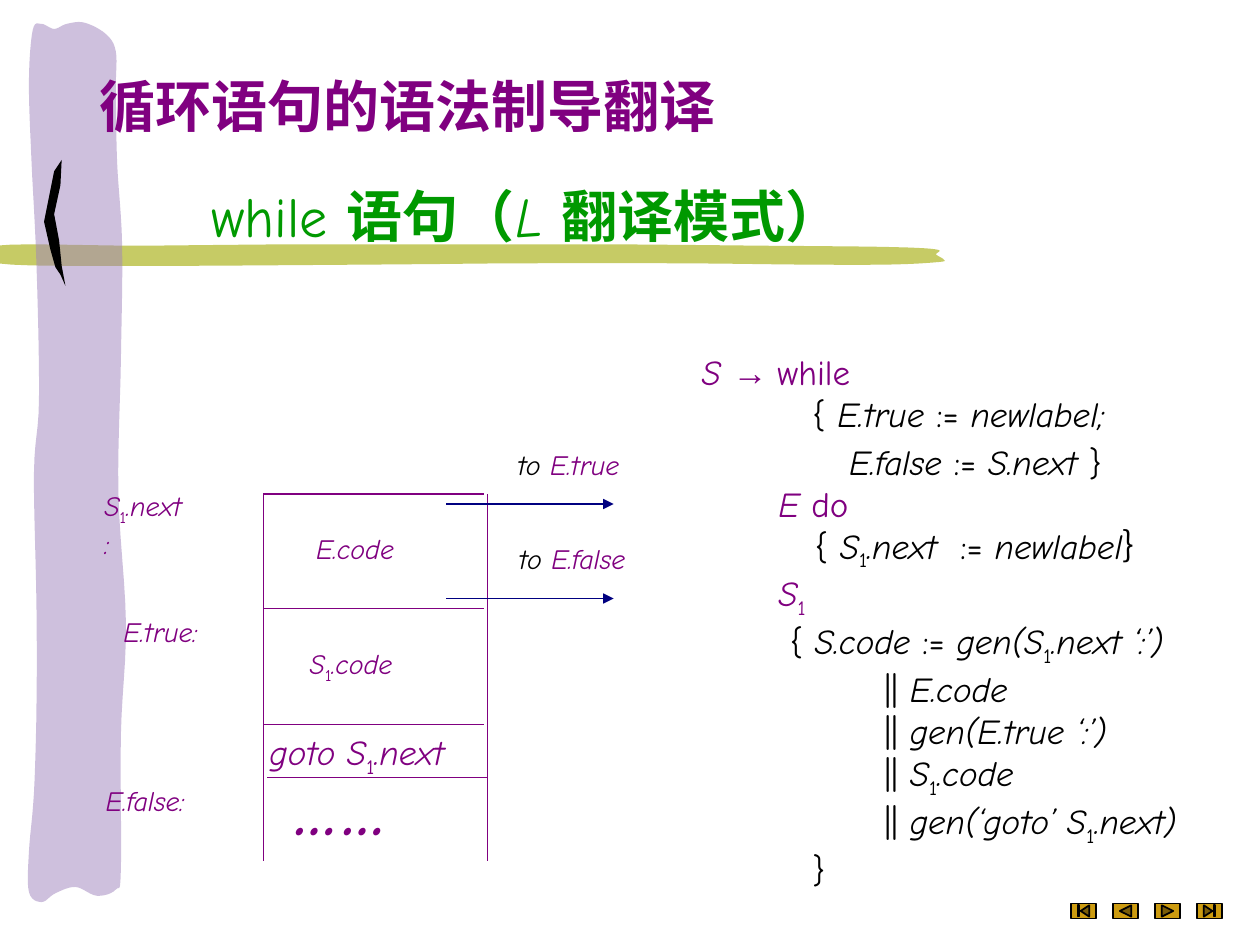
"""Build a slide on the syntax-directed translation of while loops."""
from lxml import etree
from pptx import Presentation
from pptx.dml.color import RGBColor
from pptx.enum.shapes import MSO_CONNECTOR, MSO_SHAPE
from pptx.enum.text import MSO_AUTO_SIZE
from pptx.oxml.ns import qn
from pptx.util import Inches, Pt

STRAIGHT = MSO_CONNECTOR.STRAIGHT
FIT_TEXT = MSO_AUTO_SIZE.SHAPE_TO_FIT_TEXT
BUTTONS = [
    MSO_SHAPE.ACTION_BUTTON_BEGINNING,
    MSO_SHAPE.ACTION_BUTTON_BACK_OR_PREVIOUS,
    MSO_SHAPE.ACTION_BUTTON_FORWARD_OR_NEXT,
    MSO_SHAPE.ACTION_BUTTON_END,
]

PURPLE = RGBColor(0x80, 0x00, 0x80)
GREEN = RGBColor(0x00, 0x99, 0x00)
NAVY = RGBColor(0x00, 0x00, 0x80)
BLACK = RGBColor(0x00, 0x00, 0x00)
OLIVE = RGBColor(0xC6, 0xCB, 0x65)
LILAC = RGBColor(0x9F, 0x83, 0xBD)
GOLD = RGBColor(0xCC, 0x9B, 0x10)

LATIN_FONT = "Comic Neue"
CHINESE_FONT = "Noto Sans CJK SC"
PLAIN = {"italic": False}
ITALIC = {"italic": True}
BOLD = {"bold": True, "name": CHINESE_FONT}
BOLD_ITALIC = {"bold": True, "italic": True}
ARROW = {"name": "Arial"}
SUBSCRIPT = {"baseline": "-25000"}


def add_text(box, size, colour, lines, wrap=True):
    shape = slide.shapes.add_textbox(*map(Inches, box))
    frame = shape.text_frame
    frame.word_wrap = wrap
    frame.auto_size = FIT_TEXT
    for number, (indent, space_after, line_colour, runs) in enumerate(lines):
        paragraph = frame.add_paragraph() if number else frame.paragraphs[0]
        paragraph.space_after = Pt(space_after)
        properties = paragraph._p.get_or_add_pPr()
        properties.set("marL", str(Inches(indent)))
        properties.set("indent", "0")
        for text, style, *run_colour in runs:
            run = paragraph.add_run()
            run.text = text
            values = {"name": LATIN_FONT, "size": Pt(size), **style}
            baseline = values.pop("baseline", None)
            for name, value in values.items():
                setattr(run.font, name, value)
            run.font.color.rgb = run_colour[0] if run_colour else line_colour or colour
            run_properties = run._r.get_or_add_rPr()
            if baseline:
                run_properties.set("baseline", baseline)
            if values["name"] == CHINESE_FONT:
                etree.SubElement(run_properties, qn("a:ea")).set("typeface", CHINESE_FONT)


def add_outline(points, colour, steps):
    outline = []
    count = len(points)
    for index in range(count):
        before, start, end, after = (points[(index + k) % count] for k in (-1, 0, 1, 2))
        for step in range(steps):
            t = step / steps
            outline.append([
                Inches(b + ((c - a) * t + (2 * a - 5 * b + 4 * c - d) * t**2
                            + (3 * b - a - 3 * c + d) * t**3) / 2)
                for a, b, c, d in zip(before, start, end, after)
            ])
    builder = slide.shapes.build_freeform(*outline[0], scale=1.0)
    builder.add_line_segments(outline[1:], close=True)
    shape = builder.convert_to_shape()
    shape.shadow.inherit = False
    shape.fill.solid()
    shape.fill.fore_color.rgb = colour
    shape.line.fill.background()
    return shape


presentation = Presentation()
presentation.slide_width = Inches(10)
presentation.slide_height = Inches(7.5)
slide = presentation.slides.add_slide(presentation.slide_layouts[6])

add_outline([
    (6.01, 1.95), (7.02, 1.96), (7.43, 1.98), (7.43, 2.02), (7.49, 2.06), (7.45, 2.08),
    (7.06, 2.1), (6.35, 2.1), (5.41, 2.09), (4.14, 2.09), (2.98, 2.1), (1.11, 2.11),
    (-0.02, 2.09), (-0.03, 1.95), (1.11, 1.95), (2.32, 1.94), (3.91, 1.94), (4.89, 1.94),
], OLIVE, 6)
brush = add_outline([
    (0.29, 5.61), (0.29, 4.81), (0.27, 3.75), (0.31, 3.17), (0.29, 2.1), (0.25, 1.27),
    (0.23, 0.65), (0.26, 0.24), (0.33, 0.19), (0.43, 0.23), (0.53, 0.19), (0.67, 0.18),
    (0.84, 0.27), (0.92, 0.41), (0.92, 0.71), (0.93, 1.29), (0.97, 1.95), (0.96, 2.86),
    (0.94, 3.91), (1, 4.95), (0.96, 5.83), (0.96, 6.9), (0.92, 7.06), (0.77, 7.11),
    (0.6, 7.04), (0.44, 7.09), (0.33, 7.16), (0.23, 7.08), (0.23, 6.76), (0.27, 6.29),
], LILAC, 6)
brush_colour = brush._element.spPr.find(qn("a:solidFill"))[0]
etree.SubElement(brush_colour, qn("a:alpha")).set("val", "50000")
add_outline([
    (0.49, 1.27), (0.48, 1.47), (0.43, 1.7), (0.47, 1.91), (0.49, 2.11), (0.52, 2.27),
    (0.48, 2.18), (0.44, 2.12), (0.4, 1.98), (0.35, 1.76), (0.39, 1.56), (0.43, 1.36),
], BLACK, 1)

add_text((0.69, 0.52, 8.98, 0.64), 32, PURPLE,
         [(0, 0, None, [("循环语句的语法制导翻译", BOLD)])])
add_text((1.58, 1.39, 7.1, 0.64), 32, GREEN, [(0, 0, None, [
    ("while ", PLAIN), ("语句（", BOLD), ("L ", ITALIC), ("翻译模式）", BOLD)])])

ONE = ("1", SUBSCRIPT)
labels = [
    ((2.41, 4.17, 0.82, 0.37), 16, [("E.code", ITALIC)]),
    ((2.36, 5.08, 0.86, 0.41), 16, [("S", ITALIC), ONE, (".code", ITALIC)]),
    ((0.73, 3.83, 0.92, 0.41), 16, [("S", ITALIC), ONE, (".next :", ITALIC)]),
    ((0.88, 4.83, 0.79, 0.37), 16, [("E.true:", ITALIC)]),
    ((0.74, 6.17, 0.83, 0.37), 16, [("E.false:", ITALIC)]),
    ((2.04, 5.75, 1.95, 0.48), 20, [("goto S", ITALIC), ONE, (".next", ITALIC)]),
    ((4.01, 3.5, 1.01, 0.37), 16, [("to ", ITALIC, BLACK), ("E.true", ITALIC)]),
    ((4.02, 4.25, 1.06, 0.37), 16, [("to ", ITALIC, BLACK), ("E.false", ITALIC)]),
    ((2.24, 6.08, 0.96, 0.7), 36, [("……", BOLD_ITALIC)]),
]
for box, size, runs in labels:
    add_text(box, size, PURPLE, [(0, 0, None, runs)], wrap=size == 20)

LEFT, RIGHT, TOP, BOTTOM = 2.09, 3.87, 3.92, 6.83
frame_lines = [(x, TOP, x, BOTTOM, PURPLE) for x in (LEFT, RIGHT)]
frame_lines += [(LEFT, y, 3.84, y, PURPLE) for y in (TOP, 4.83, 5.75)]
frame_lines.append((2.12, 6.17, RIGHT, 6.17, PURPLE))
jump_arrows = [(3.54, y, 4.87, y, NAVY) for y in (4, 4.75)]
for *ends, colour in frame_lines + jump_arrows:
    connector = slide.shapes.add_connector(STRAIGHT, *map(Inches, ends))
    connector.line.color.rgb = colour
    connector.line.width = Pt(0.75)
    if colour == NAVY:
        etree.SubElement(connector.line._get_or_add_ln(), qn("a:tailEnd")).set("type", "triangle")
    etree.SubElement(connector._element.spPr, qn("a:effectLst"))

add_text((5.47, 2.73, 4.37, 4.47), 20, BLACK, [
    (0, 0, PURPLE, [("S ", ITALIC), ("→ ", ARROW), ("while", PLAIN)]),
    (0.88, 3.4, None, [("{ ", PLAIN), ("E.true ", ITALIC), (":= ", PLAIN), ("newlabel;", ITALIC)]),
    (1.17, 0, None, [("E.false ", ITALIC), (":=", PLAIN), (" S.next", ITALIC), (" }", PLAIN)]),
    (0.61, 0, PURPLE, [("E", ITALIC), (" do", PLAIN)]),
    (0.9, 0, None, [("{ ", PLAIN), ("S", ITALIC), ONE, (".next  ", ITALIC), (":=", PLAIN),
                    (" newlabel", ITALIC), ("｝", PLAIN)]),
    (0.61, 0, PURPLE, [("S", ITALIC), ONE]),
    (0.7, 0, None, [("{ ", PLAIN), ("S.code ", ITALIC), (":=", PLAIN), (" gen(S", ITALIC), ONE,
                    (".next ‘:’)", ITALIC)]),
    (1.45, 0, None, [("||", PLAIN), (" E.code", ITALIC)]),
    (1.45, 0, None, [("||", PLAIN), (" gen(E.true ‘:’)", ITALIC)]),
    (1.45, 0, None, [("|| ", PLAIN), ("S", ITALIC), ONE, (".code", ITALIC)]),
    (1.45, 0, None, [("||", PLAIN), (" gen(‘goto’ S", ITALIC), ONE, (".next)", ITALIC)]),
    (0.88, 0, None, [("}", PLAIN)]),
])

for index, button in enumerate(BUTTONS):
    shape = slide.shapes.add_shape(
        button, Inches(8.5 + index / 3), Inches(7.17), Inches(0.2), Inches(0.12))
    shape.shadow.inherit = False
    shape.fill.solid()
    shape.fill.fore_color.rgb = GOLD
    shape.line.color.rgb = BLACK
    shape.line.width = Pt(1)

presentation.save("out.pptx")
